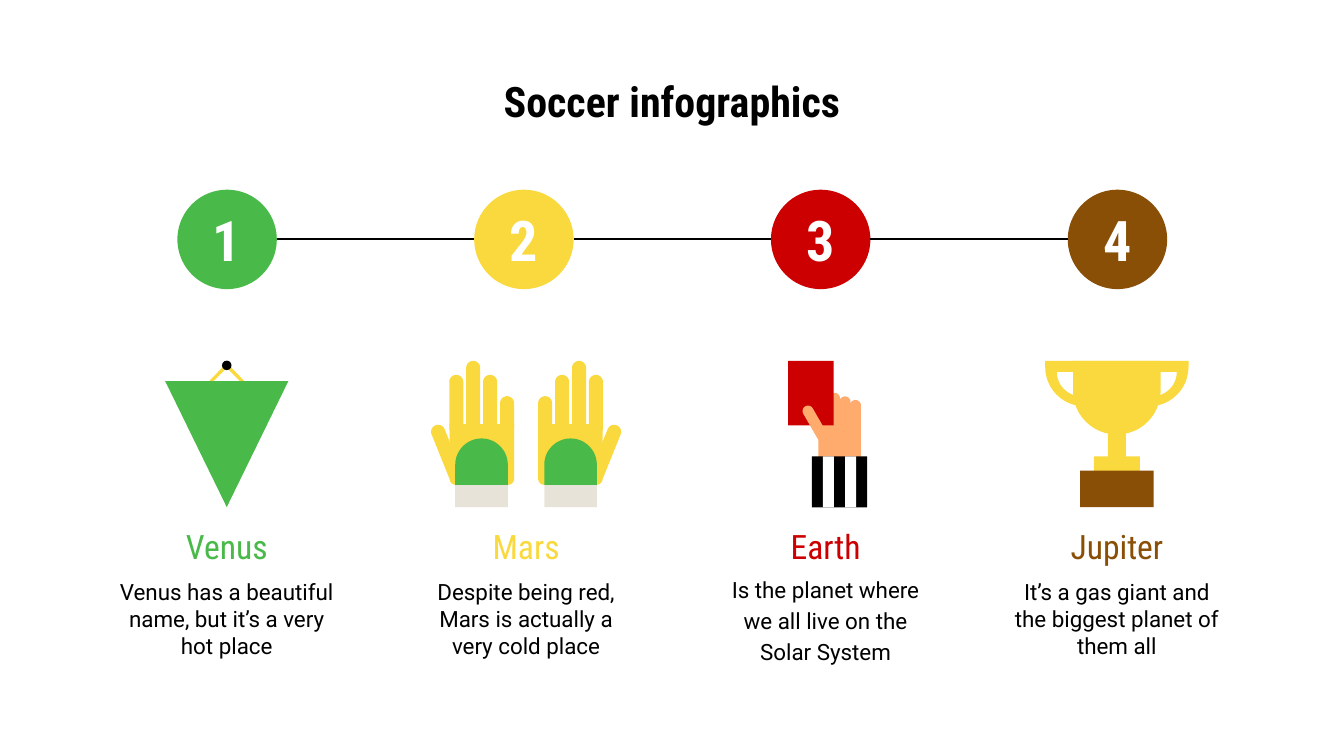
from dataclasses import dataclass
from math import cos, pi, sin

from lxml import etree
from pptx import Presentation
from pptx.dml.color import RGBColor
from pptx.enum.shapes import MSO_CONNECTOR, MSO_SHAPE
from pptx.enum.text import MSO_ANCHOR, MSO_AUTO_SIZE, PP_ALIGN
from pptx.oxml.ns import qn
from pptx.util import Pt

STRAIGHT = MSO_CONNECTOR.STRAIGHT
OVAL, RECTANGLE = MSO_SHAPE.OVAL, MSO_SHAPE.RECTANGLE
MIDDLE, CENTER, NO_FIT = MSO_ANCHOR.MIDDLE, PP_ALIGN.CENTER, MSO_AUTO_SIZE.NONE

GREEN, YELLOW, RED, BROWN = "49BA49", "F9D93D", "CC0000", "8A4F07"
BLACK, WHITE, SKIN, CUFF = "000000", "FFFFFF", "FFAB6D", "E8E3D9"
HEADING, BODY = "Roboto Condensed", "Roboto"
ICON_TOP = 257.8
CIRCLE_SIZE, CIRCLE_Y = 71, 171
FIRST_X, STEP_X = 162.2, 212

Contour = list[tuple[float, float]]


@dataclass
class Step:
    name: str
    text: str
    colour: str
    caption_x: float
    line_spacing: float = 1.0
    space_after: float = 0


@dataclass
class Block:
    """A rectangle whose top or bottom corners may be rounded."""
    left: float
    top: float
    width: float
    height: float
    colour: str
    top_radius: float = 0
    bottom_radius: float = 0
    turn: float = 0


STEPS = [
    Step("Venus", "Venus has a beautiful name, but it’s a very hot place", GREEN, 162),
    Step("Mars", "Despite being red, Mars is actually a very cold place", YELLOW, 375.8),
    Step("Earth", "Is the planet where we all live on the Solar System", RED, 589.7, 1.15, 21.3),
    Step("Jupiter", "It’s a gas giant and the biggest planet of them all", BROWN, 797.8),
]


def rgb(colour: str) -> RGBColor:
    return RGBColor.from_string(colour)


def paint(shape, colour: str) -> None:
    shape.shadow.inherit = False
    shape.fill.solid()
    shape.fill.fore_color.rgb = rgb(colour)
    shape.line.fill.background()


def write(box, text: str, font: str, size: float, colour: str, bold: bool = False):
    frame = box.text_frame
    frame.word_wrap = True
    frame.auto_size = NO_FIT
    frame.vertical_anchor = MIDDLE
    frame.margin_left = frame.margin_right = frame.margin_top = frame.margin_bottom = Pt(9)
    para = frame.paragraphs[0]
    para.text = text
    para.alignment = CENTER
    para.font.name, para.font.size, para.font.bold = font, Pt(size), bold
    para.font.color.rgb = rgb(colour)
    return para


def draw_outline(shapes, colour: str, *contours: Contour) -> None:
    scaled = [[(Pt(x), Pt(y)) for x, y in contour] for contour in contours]
    builder = shapes.build_freeform(*scaled[0][0])
    for number, points in enumerate(scaled):
        if number:
            builder.move_to(*points[0])
        builder.add_line_segments(points[1:], close=True)
    paint(builder.convert_to_shape(), colour)


def rounded_contour(block: Block) -> Contour:
    right, bottom = block.left + block.width, block.top + block.height
    top_r, bottom_r = block.top_radius, block.bottom_radius
    corners = [
        (block.left + top_r, block.top + top_r, top_r),
        (right - top_r, block.top + top_r, top_r),
        (right - bottom_r, bottom - bottom_r, bottom_r),
        (block.left + bottom_r, bottom - bottom_r, bottom_r),
    ]
    points = []
    for corner, (x, y, radius) in enumerate(corners):
        slices = 12 if radius else 0
        for part in range(slices + 1):
            angle = pi + (corner + part / max(slices, 1)) * pi / 2
            points.append((x + radius * cos(angle), y + radius * sin(angle)))
    return points


def draw_block(shapes, block: Block) -> None:
    if block.top_radius or block.bottom_radius:
        draw_outline(shapes, block.colour, rounded_contour(block))
    else:
        bar = shapes.add_shape(RECTANGLE, Pt(block.left), Pt(block.top),
                               Pt(block.width), Pt(block.height))
        paint(bar, block.colour)
    shapes[-1].rotation = block.turn


def draw_circle(shapes, x: float, y: float, size: float, colour: str):
    circle = shapes.add_shape(OVAL, Pt(x - size / 2), Pt(y - size / 2), Pt(size), Pt(size))
    paint(circle, colour)
    return circle


def draw_pennant(shapes) -> None:
    cord = [(162, 259.2), (139, 283), (140.4, 284.4), (162, 262.8), (183.6, 284.4), (185, 283)]
    draw_outline(shapes, YELLOW, cord)
    draw_circle(shapes, 162, 261, 6.8, BLACK)
    for half, top, tip in ((44, 272.2, 362.2), (36.7, 276.5, 352)):
        draw_outline(shapes, GREEN, [(162 - half, top), (162, tip), (162 + half, top)])


def draw_gloves(shapes) -> None:
    axis = 375.8
    fingers = [Block(8.6 + 12.1 * i, top, 10, 307 - top, YELLOW, 5)
               for i, top in enumerate((283, 267.8, ICON_TOP, 267.8))]
    glove = [
        Block(13, 342, 37.6, 20.2, CUFF),
        Block(52.4, 302.4, 10, 39.2, YELLOW, 5, turn=22),
        *fingers,
        Block(8.6, 303, 46, 43.3, YELLOW, bottom_radius=4.3),
        Block(13, 313.2, 37.6, 33.1, GREEN, 18.8),
    ]
    for side in (1, -1):
        for part in glove:
            left = axis + side * (part.left + part.width / 2) - part.width / 2
            draw_block(shapes, Block(left, part.top, part.width, part.height, part.colour,
                                     part.top_radius, part.bottom_radius, side * part.turn))


def draw_red_card(shapes) -> None:
    stripe = 7.88
    parts = [Block(584.6 + 7.5 * i, 278 + 2.6 * i, 7.9, 18.7, SKIN, 3.95) for i in range(4)]
    parts += [
        Block(584.6, 290.2, 30.4, 49, SKIN),
        Block(563, ICON_TOP, 32.6, 46.1, RED),
        Block(579.8, 288, 7.8, 33.9, SKIN, 3.9, turn=-30),
        Block(580, 326, 5 * stripe, 36.4, BLACK),
    ]
    parts += [Block(580 + i * stripe, 326, stripe, 36.4, WHITE) for i in (1, 3)]
    for part in parts:
        draw_block(shapes, part)


def draw_trophy(shapes) -> None:
    def centred(width: float, top: float, height: float, colour: str, radius: float = 0) -> Block:
        return Block(797.8 - width / 2, top, width, height, colour, bottom_radius=radius)

    handles = centred(102.4, ICON_TOP, 32.4, YELLOW, 28.1)
    opening = centred(85.7, 265.7, 17.3, YELLOW, 17.3)
    draw_outline(shapes, YELLOW, rounded_contour(handles), rounded_contour(opening)[::-1])
    for part in (centred(13, 296, 32.4, YELLOW), centred(32.8, 326, 13, YELLOW),
                 centred(62.6, ICON_TOP, 52.6, YELLOW, 31.3), centred(52.6, 336.2, 26, BROWN)):
        draw_block(shapes, part)


def main() -> None:
    deck = Presentation()
    deck.slide_width, deck.slide_height = Pt(960), Pt(540)
    page = deck.slides.add_slide(deck.slide_layouts[5])

    # Title
    title = page.shapes.title
    title.left, title.top, title.width, title.height = Pt(75), Pt(57), Pt(810), Pt(43)
    write(title, "Soccer infographics", HEADING, 30, BLACK, True).line_spacing = 0.5

    # Icons
    for draw_icon in (draw_trophy, draw_gloves, draw_red_card, draw_pennant):
        draw_icon(page.shapes.add_group_shape().shapes)

    # Captions and numbered circles
    for number, step in enumerate(STEPS):
        captions = page.shapes.add_group_shape().shapes
        name = captions.add_textbox(Pt(step.caption_x - 48.2), Pt(373), Pt(96.4), Pt(34.5))
        write(name, step.name, HEADING, 24, step.colour)
        box = captions.add_textbox(Pt(step.caption_x - 87), Pt(407.5), Pt(174), Pt(68.4))
        para = write(box, step.text, BODY, 16, BLACK)
        para.line_spacing, para.space_after = step.line_spacing, Pt(step.space_after)
        circle = draw_circle(page.shapes, FIRST_X + number * STEP_X, CIRCLE_Y, CIRCLE_SIZE, step.colour)
        write(circle, str(number + 1), HEADING, 40, WHITE, True)

    # Lines between circles
    for number in range(len(STEPS) - 1):
        start = FIRST_X + number * STEP_X + CIRCLE_SIZE / 2
        line = page.shapes.add_connector(STRAIGHT, Pt(start), Pt(CIRCLE_Y),
                                         Pt(start + STEP_X - CIRCLE_SIZE), Pt(CIRCLE_Y))
        line.line.color.rgb = rgb(BLACK)
        line.line.width = Pt(1.5)
        etree.SubElement(line._element.spPr, qn("a:effectLst"))

    deck.save("out.pptx")


if __name__ == "__main__":
    main()
